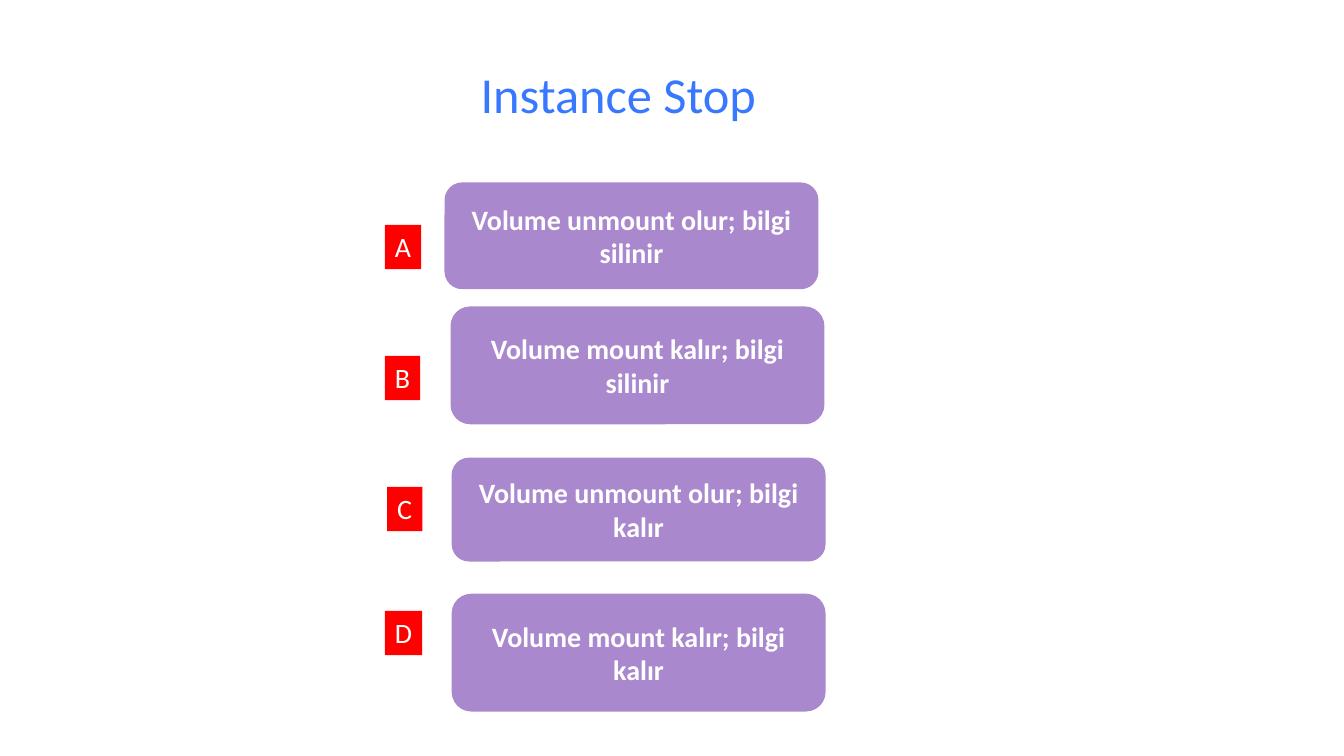
from pptx import Presentation
from pptx.dml.color import RGBColor
from pptx.enum.shapes import MSO_SHAPE
from pptx.enum.text import MSO_ANCHOR, MSO_AUTO_SIZE, PP_ALIGN
from pptx.util import Pt

RECT = MSO_SHAPE.RECTANGLE
ROUNDED = MSO_SHAPE.ROUNDED_RECTANGLE
TOP, MIDDLE = MSO_ANCHOR.TOP, MSO_ANCHOR.MIDDLE
LEFT, CENTER = PP_ALIGN.LEFT, PP_ALIGN.CENTER
FIT_SHAPE = MSO_AUTO_SIZE.SHAPE_TO_FIT_TEXT

FONT = "Calibri"
BLUE, PURPLE, RED, WHITE = "3778FF", "AA88CE", "FF0000", "FFFFFF"
ANSWER_WIDTH = 267.1
BADGE_HEIGHT = 31.7

ANSWERS = [
    ("Volume unmount olur; bilgi silinir", 317.5, 130.3, 76.3),
    ("Volume mount kalır; bilgi silinir", 321.8, 218.9, 84.2),
    ("Volume unmount olur; bilgi kalır", 322.6, 326.9, 74.2),
    ("Volume mount kalır; bilgi kalır", 322.6, 424.1, 84.2),
]
BADGES = [
    ("A", 275, 160.6, 25.9),
    ("B", 275, 254.2, 25.2),
    ("C", 276.5, 347.8, 25.2),
    ("D", 275, 436.3, 26.6),
]


def rgb(value):
    return RGBColor.from_string(value)


def write(sp, text, size, color, bold=False, align=LEFT, anchor=TOP, wrap=False):
    tf = sp.text_frame
    tf.word_wrap = wrap
    tf.vertical_anchor = anchor
    if not wrap:
        tf.auto_size = FIT_SHAPE
    p = tf.paragraphs[0]
    p.text = text
    p.alignment = align
    p.font.name = FONT
    p.font.size = Pt(size)
    p.font.bold = bold
    p.font.color.rgb = rgb(color)


def add_block(s, kind, x, y, w, h, fill):
    sp = s.shapes.add_shape(kind, Pt(x), Pt(y), Pt(w), Pt(h))
    sp.shadow.inherit = False
    sp.fill.solid()
    sp.fill.fore_color.rgb = rgb(fill)
    sp.line.fill.background()
    return sp


def add_title(s, text, x, y, w, h):
    sp = s.shapes.add_textbox(Pt(x), Pt(y), Pt(w), Pt(h))
    write(sp, text, 36, BLUE)


def add_answer(s, text, x, y, h):
    sp = add_block(s, ROUNDED, x, y, ANSWER_WIDTH, h, PURPLE)
    write(sp, text, 20, WHITE, bold=True, align=CENTER, anchor=MIDDLE, wrap=True)


def add_badge(s, letter, x, y, w):
    sp = add_block(s, RECT, x, y, w, BADGE_HEIGHT, RED)
    write(sp, letter, 20, WHITE)


def main():
    prs = Presentation()
    prs.slide_width, prs.slide_height = Pt(960), Pt(540)
    s = prs.slides.add_slide(prs.slide_layouts[6])
    add_title(s, "Instance Stop", 336.2, 41.8, 213.1, 51.1)
    for answer in ANSWERS:
        add_answer(s, *answer)
    for badge in BADGES:
        add_badge(s, *badge)
    prs.save("out.pptx")


if __name__ == "__main__":
    main()
